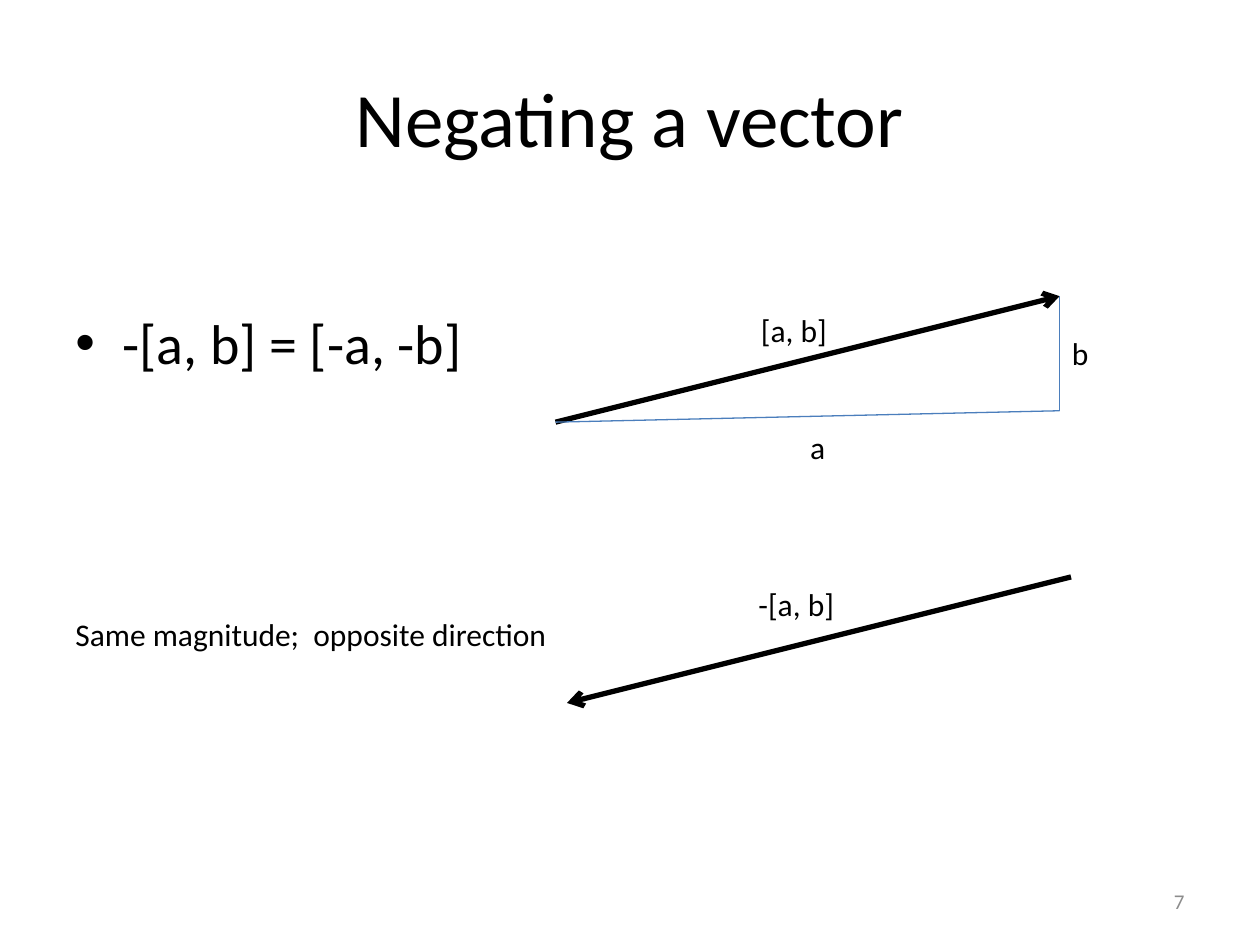
import pptx
import pptx.util
import pptx.dml.color
import pptx.enum.shapes
import pptx.enum.text
import pptx.oxml.ns
import lxml.etree

Cm = pptx.util.Cm
Pt = pptx.util.Pt
BLACK = pptx.dml.color.RGBColor(0x00, 0x00, 0x00)
BLUE = pptx.dml.color.RGBColor(0x4B, 0x7E, 0xBC)
GRAY = pptx.dml.color.RGBColor(0x8C, 0x8C, 0x8C)
qn = pptx.oxml.ns.qn
PP_ALIGN = pptx.enum.text.PP_ALIGN
MIDDLE = pptx.enum.text.MSO_ANCHOR.MIDDLE


def style_text(paragraph, size, color):
    for run in paragraph.runs:
        run.font.name = "Calibri"
        run.font.size = Pt(size)
        run.font.color.rgb = color


def add_line(start, end, color, width, arrow):
    line = slide.shapes.add_connector(
        pptx.enum.shapes.MSO_CONNECTOR.STRAIGHT,
        Cm(start[0]), Cm(start[1]), Cm(end[0]), Cm(end[1]))
    line.line.color.rgb = color
    line.line.width = Pt(width)
    if arrow:
        lxml.etree.SubElement(line.line._get_or_add_ln(), qn("a:tailEnd"), type="arrow")
    lxml.etree.SubElement(line._element.spPr, qn("a:effectLst"))


presentation = pptx.Presentation()
presentation.slide_width = Cm(25.4)
presentation.slide_height = Cm(19.05)
slide = presentation.slides.add_slide(presentation.slide_layouts[5])

title = slide.shapes.title
title.left, title.top, title.width, title.height = Cm(1.27), Cm(0.76), Cm(22.86), Cm(3.18)
title.text_frame.text = "Negating a vector"
title.text_frame.vertical_anchor = MIDDLE
title.text_frame.paragraphs[0].alignment = PP_ALIGN.CENTER
style_text(title.text_frame.paragraphs[0], 44, BLACK)

rule = slide.shapes.add_textbox(Cm(1.27), Cm(6.1), Cm(22.86), Cm(10.92))
rule.text_frame.word_wrap = True
rule.text_frame.text = "-[a, b] = [-a, -b]"
rule_line = rule.text_frame.paragraphs[0]
rule_properties = rule_line._p.get_or_add_pPr()
rule_properties.set("marL", str(Cm(0.95)))
rule_properties.set("indent", str(-Cm(0.95)))
lxml.etree.SubElement(rule_properties, qn("a:buFont"), typeface="Arial")
lxml.etree.SubElement(rule_properties, qn("a:buChar"), char="•")
style_text(rule_line, 32, BLACK)

origin = (11.2, 8.51)
tip = (21.36, 5.97)
corner = (21.36, 8.28)
for start, end, color, width, arrow in [
    (origin, tip, BLACK, 3, True),
    (origin, corner, BLUE, 0.75, False),
    (corner, tip, BLUE, 0.75, False),
    ((21.59, 11.63), (11.43, 14.17), BLACK, 3, True),
]:
    add_line(start, end, color, width, arrow)

for text, left, top, width in [
    ("a", 16.08, 8.51, 0.81),
    ("b", 21.36, 6.6, 0.86),
    ("[a, b]", 15.09, 6.15, 1.85),
    ("-[a, b]", 15.04, 11.66, 2.06),
    ("Same magnitude;  opposite direction", 1.27, 12.27, 10.13),
]:
    label = slide.shapes.add_textbox(Cm(left), Cm(top), Cm(width), Cm(1.02))
    label.text_frame.word_wrap = False
    label.text_frame.auto_size = pptx.enum.text.MSO_AUTO_SIZE.SHAPE_TO_FIT_TEXT
    label.text_frame.text = text
    style_text(label.text_frame.paragraphs[0], 18, BLACK)

page_number = slide.shapes.add_textbox(Cm(18.21), Cm(17.65), Cm(5.92), Cm(1.02))
page_number.text_frame.word_wrap = True
page_number.text_frame.vertical_anchor = MIDDLE
page_number.text_frame.text = "7"
page_number.text_frame.paragraphs[0].alignment = PP_ALIGN.RIGHT
style_text(page_number.text_frame.paragraphs[0], 12, GRAY)

presentation.save("out.pptx")
